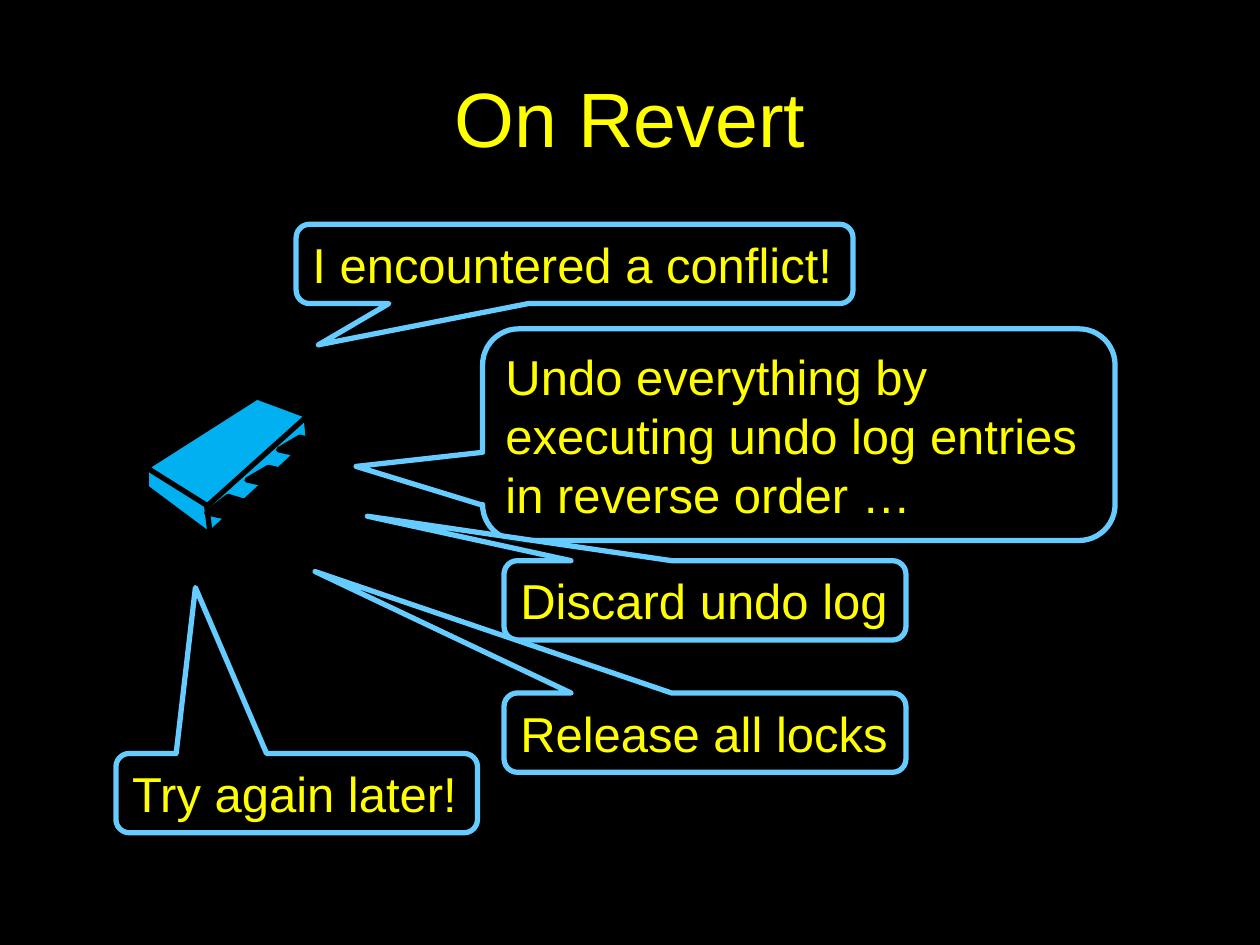
from lxml.etree import SubElement
from pptx import Presentation
from pptx.dml.color import RGBColor
from pptx.enum.shapes import MSO_SHAPE as Shape
from pptx.enum.text import MSO_ANCHOR as Anchor, MSO_AUTO_SIZE as Auto, PP_ALIGN as Align
from pptx.oxml.ns import qn
from pptx.util import Inches, Pt

BLACK, YELLOW, SKY, BLUE = "000000", "FFFF00", "66CCFF", "00B0F0"
FONT = "Arial"
TITLE = "On Revert"

REAR_LEG = [(24, 8), (8, 0), (0, 8), (0, 55), (8, 47), (8, 16), (24, 24)]
FRONT_LEG = [(17, 0), (0, 10), (28, 16), (28, 48), (39, 37), (39, 5)]
NEAR_LEG = [(17, 0), (0, 13), (28, 19), (28, 56), (40, 44), (40, 7)]
TOP = [(88, 0), (0, 56), (49, 89), (131, 16)]
LONG_SIDE = [(79, 0), (0, 71), (1, 94), (81, 20)]
SHORT_SIDE = [(0, 0), (0, 16), (51, 54), (48, 30)]
CHIP = [
    (REAR_LEG, 166, 313, BLACK),
    (REAR_LEG, 108, 355, BLACK),
    (REAR_LEG, 143, 331, BLACK),
    (TOP, 116, 315, BLUE),
    (LONG_SIDE, 164, 331, BLUE),
    (SHORT_SIDE, 116, 371, BLUE),
    (NEAR_LEG, 164, 394, BLACK),
    (FRONT_LEG, 196, 371, BLACK),
    (FRONT_LEG, 221, 347, BLACK),
]

CALLOUTS = [
    ("I encountered a conflict!", (2.35, 1.78, 4.42, 0.63), (-0.46, 1.02), False),
    ("Undo everything by executing undo log entries in reverse order …",
     (3.83, 2.61, 5.02, 1.68), (-0.7, 0.15), True),
    ("Discard undo log", (4, 4.45, 3.19, 0.63), (-0.84, -1.06), False),
    ("Release all locks", (4, 5.5, 3.19, 0.63), (-0.97, -2.03), False),
    ("Try again later!", (0.92, 5.98, 2.87, 0.63), (-0.28, -2.59), False),
]


def rgb(value):
    return RGBColor.from_string(value)


def paint(sp, fill, line):
    sp.shadow.inherit = False
    sp.fill.solid()
    sp.fill.fore_color.rgb = rgb(fill)
    sp.line.color.rgb = rgb(line)
    sp.line.width = Pt(3)


def write(tf, text, size, align):
    tf.vertical_anchor = Anchor.MIDDLE
    p = tf.paragraphs[0]
    p.alignment = align
    r = p.add_run()
    r.text = text
    r.font.name, r.font.size = FONT, Pt(size)
    r.font.color.rgb = rgb(YELLOW)


def add_chip(s):
    shapes = s.shapes.add_group_shape().shapes
    for outline, left, top, fill in CHIP:
        points = [(left + x, top + y) for x, y in outline]
        builder = shapes.build_freeform(*points[0], scale=Inches(0.01))
        builder.add_line_segments(points[1:], close=True)
        paint(builder.convert_to_shape(), fill, BLACK)


def add_callout(s, text, box, tip, wrap):
    sp = s.shapes.add_shape(Shape.ROUNDED_RECTANGULAR_CALLOUT, *map(Inches, box))
    for i, value in enumerate((*tip, 0.17)):
        sp.adjustments[i] = value
    paint(sp, BLACK, SKY)
    color = sp._element.spPr.find(qn("a:solidFill"))[0]
    SubElement(color, qn("a:alpha")).set("val", "90000")
    tf = sp.text_frame
    tf.word_wrap = wrap
    tf.auto_size = Auto.SHAPE_TO_FIT_TEXT
    write(tf, text, 28, Align.LEFT)


def main():
    prs = Presentation()
    prs.slide_width, prs.slide_height = Inches(10), Inches(7.5)
    s = prs.slides.add_slide(prs.slide_layouts[5])
    s.background.fill.solid()
    s.background.fill.fore_color.rgb = rgb(BLACK)

    title = s.shapes.title
    title.left, title.top, title.width, title.height = map(Inches, (0.5, 0.3, 9, 1.25))
    write(title.text_frame, TITLE, 44, Align.CENTER)

    add_chip(s)
    for callout in CALLOUTS:
        add_callout(s, *callout)
    prs.save("out.pptx")


if __name__ == "__main__":
    main()
